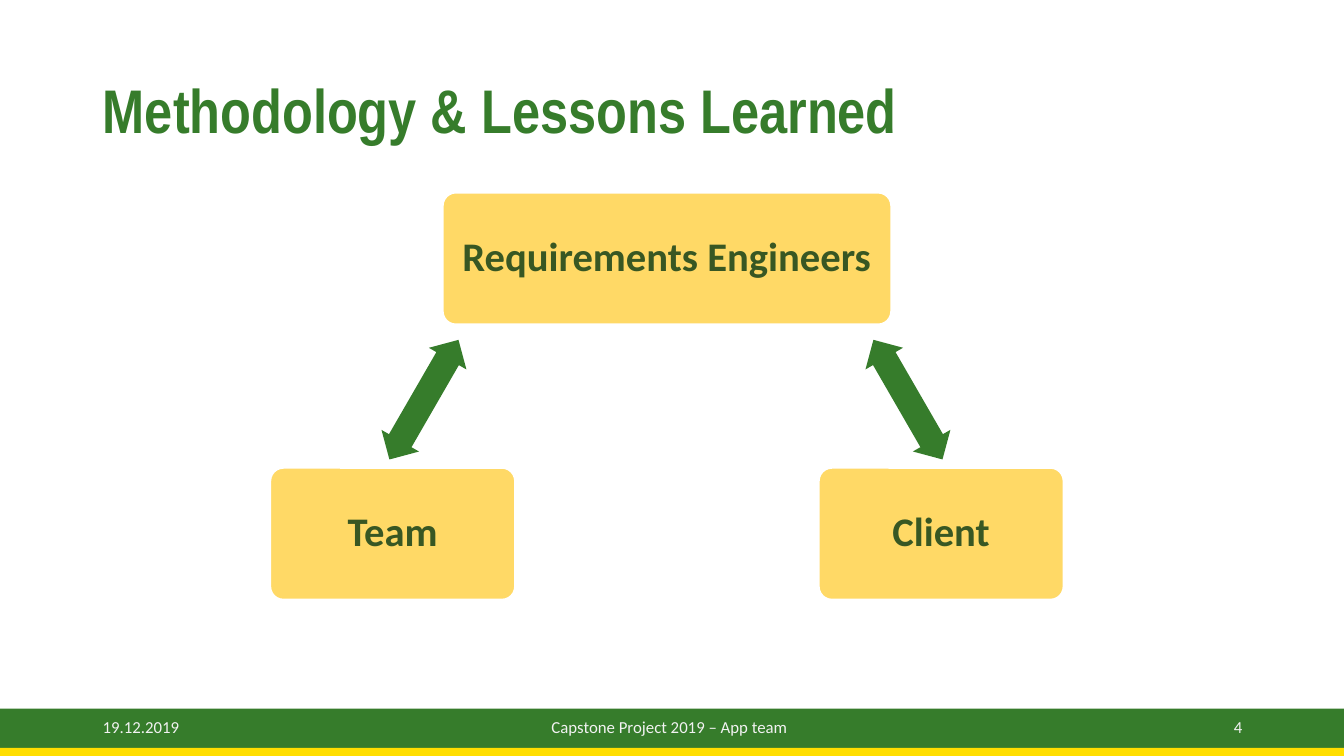
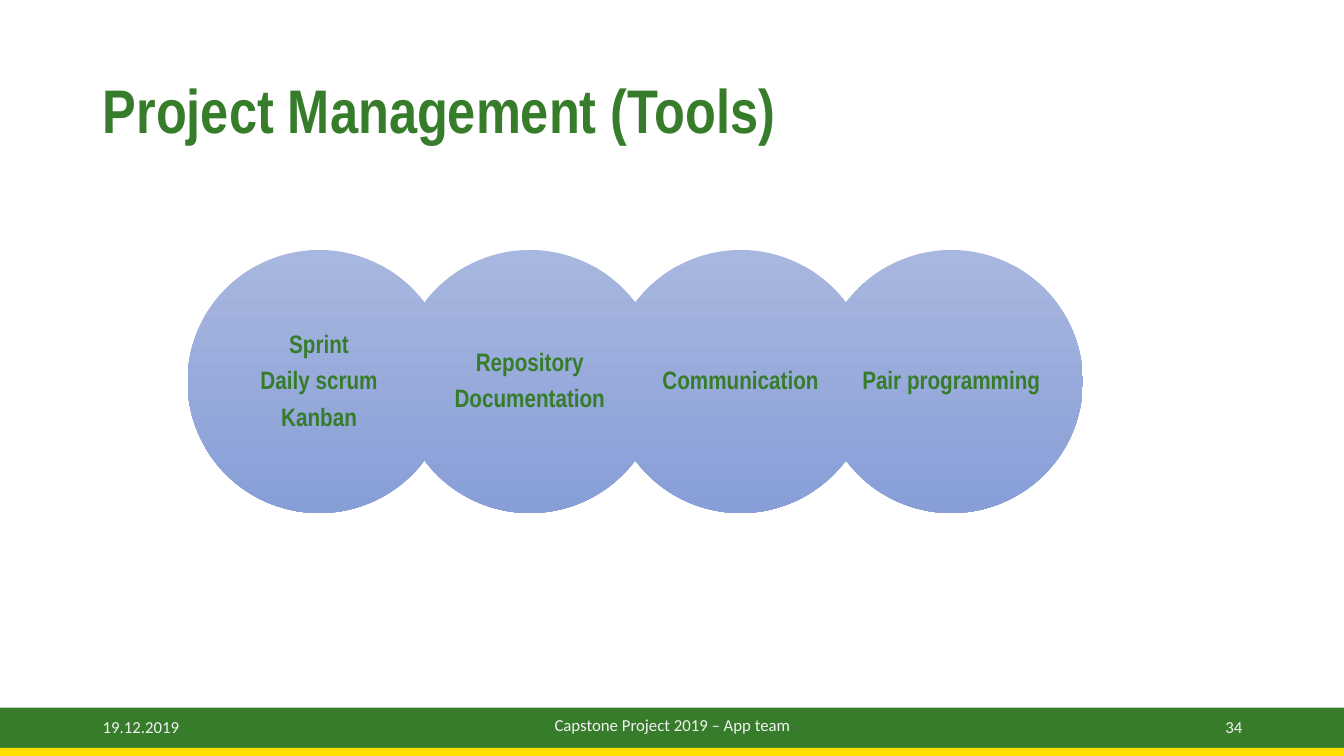
"""Build two project slides: a communication triangle and a row of tool circles."""
from pptx import Presentation
from pptx import util as u
from pptx.dml.color import RGBColor
from pptx.enum import shapes, text

GREEN = RGBColor(0x36, 0x7C, 0x2B)
DARK_GREEN = RGBColor(0x38, 0x57, 0x23)
YELLOW = RGBColor(0xFF, 0xDE, 0x00)
SAND = RGBColor(0xFF, 0xD9, 0x66)
WHITE = RGBColor(0xFF, 0xFF, 0xFF)
PALE = RGBColor(0xF2, 0xF2, 0xF2)
BLUES = (RGBColor(0xA8, 0xB7, 0xDF), RGBColor(0x88, 0x9E, 0xD7))

HEAD_FONT, BODY_FONT = "Arial Narrow", "Calibri"
LEFT, CENTER, RIGHT = text.PP_ALIGN.LEFT, text.PP_ALIGN.CENTER, text.PP_ALIGN.RIGHT
SHAPE = shapes.MSO_SHAPE

WIDTH, HEIGHT = 13.33, 7.5
DATE = "19.12.2019"
CAPTION = "Capstone Project 2019 – App team"

ROLES = [
    ("Requirements Engineers", 4.39, 1.91, 4.45),
    ("Client", 8.12, 4.64, 2.43),
    ("Team", 2.68, 4.64, 2.43),
]
ROLE_HEIGHT = 1.31
ARROWS = [(8.32, 60), (3.52, 300)]
ARROW_TOP, ARROW_SIZE = 3.75, (1.37, 0.43)

TOOLS = [
    ["Sprint", "Daily scrum", "Kanban"],
    ["Repository", "Documentation"],
    ["Communication"],
    ["Pair programming"],
]
CIRCLE_LEFT, CIRCLE_TOP, CIRCLE_SIZE, CIRCLE_STEP = 1.86, 2.48, 2.61, 2.09


def write(shape, lines, font, size, color, align, bold=True, spacing=0.9, gap=0, inset=None):
    """Fill a shape with evenly styled, vertically centred paragraphs."""
    frame = shape.text_frame
    frame.text = "\n".join(lines)
    frame.word_wrap = True
    frame.auto_size = text.MSO_AUTO_SIZE.NONE
    frame.vertical_anchor = text.MSO_ANCHOR.MIDDLE
    if inset is not None:
        frame.margin_left = frame.margin_right = u.Inches(inset)
        frame.margin_top = frame.margin_bottom = u.Inches(inset)
    for index, para in enumerate(frame.paragraphs):
        para.alignment = align
        para.line_spacing = spacing
        para.space_before = u.Pt(gap if index else 0)
        for span in para.runs:
            span.font.name = font
            span.font.size = u.Pt(size)
            span.font.bold = bold
            span.font.color.rgb = color


def add_shape(page, kind, box, fill=None):
    """Add a shape without shadow or outline."""
    shape = page.shapes.add_shape(kind, *map(u.Inches, box))
    shape.shadow.inherit = False
    shape.line.fill.background()
    if fill is not None:
        shape.fill.solid()
        shape.fill.fore_color.rgb = fill
    return shape


def add_page(deck, title, number, band_top, caption_at):
    """Add a slide with its title, bands and footer."""
    page = deck.slides.add_slide(deck.slide_layouts[5])
    heading = page.shapes.title
    heading.left, heading.top = u.Inches(0.92), u.Inches(0.4)
    heading.width, heading.height = u.Inches(11.5), u.Inches(1.45)
    write(heading, [title], HEAD_FONT, 44, GREEN, LEFT)

    add_shape(page, SHAPE.RECTANGLE, (0, band_top, WIDTH, 0.4), GREEN)
    add_shape(page, SHAPE.RECTANGLE, (0, 7.42, WIDTH, 0.08), YELLOW)
    footers = [
        (DATE, (0.92, 7.01), 3, LEFT),
        (CAPTION, caption_at, 4.5, CENTER),
        (str(number), (9.42, 7.01), 3, RIGHT),
    ]
    for words, corner, width, align in footers:
        box = page.shapes.add_textbox(*map(u.Inches, (*corner, width, 0.4)))
        write(box, [words], BODY_FONT, 12, PALE, align, bold=False, spacing=1)
    return page


def add_roles(page):
    """Draw the three roles and the arrows between them."""
    for name, left, top, width in ROLES:
        card = add_shape(page, SHAPE.ROUNDED_RECTANGLE, (left, top, width, ROLE_HEIGHT), SAND)
        card.adjustments[0] = 0.1
        card.line.color.rgb = WHITE
        card.line.width = u.Pt(1.5)
        write(card, [name], BODY_FONT, 29, DARK_GREEN, CENTER, inset=0.1)
    for left, angle in ARROWS:
        arrow = add_shape(page, SHAPE.LEFT_RIGHT_ARROW, (left, ARROW_TOP, *ARROW_SIZE), GREEN)
        arrow.adjustments[0] = 0.6
        arrow.adjustments[1] = 0.5
        arrow.rotation = angle


def add_tools(page):
    """Draw the overlapping circles of tools."""
    for index, lines in enumerate(TOOLS):
        left = CIRCLE_LEFT + index * CIRCLE_STEP
        circle = add_shape(page, SHAPE.OVAL, (left, CIRCLE_TOP, CIRCLE_SIZE, CIRCLE_SIZE))
        circle.fill.gradient()
        circle.fill.gradient_angle = 270
        for stop, color in zip(circle.fill.gradient_stops, BLUES):
            stop.color.rgb = color
        write(circle, lines, HEAD_FONT, 18, GREEN, CENTER, gap=6.7, inset=0)


def main():
    """Build and save the deck."""
    deck = Presentation()
    deck.slide_width, deck.slide_height = u.Inches(WIDTH), u.Inches(HEIGHT)
    add_roles(add_page(deck, "Methodology & Lessons Learned", 4, 7.03, (4.39, 7.01)))
    add_tools(add_page(deck, "Project Management (Tools)", 34, 7.02, (4.42, 6.99)))
    deck.save("out.pptx")


if __name__ == "__main__":
    main()
